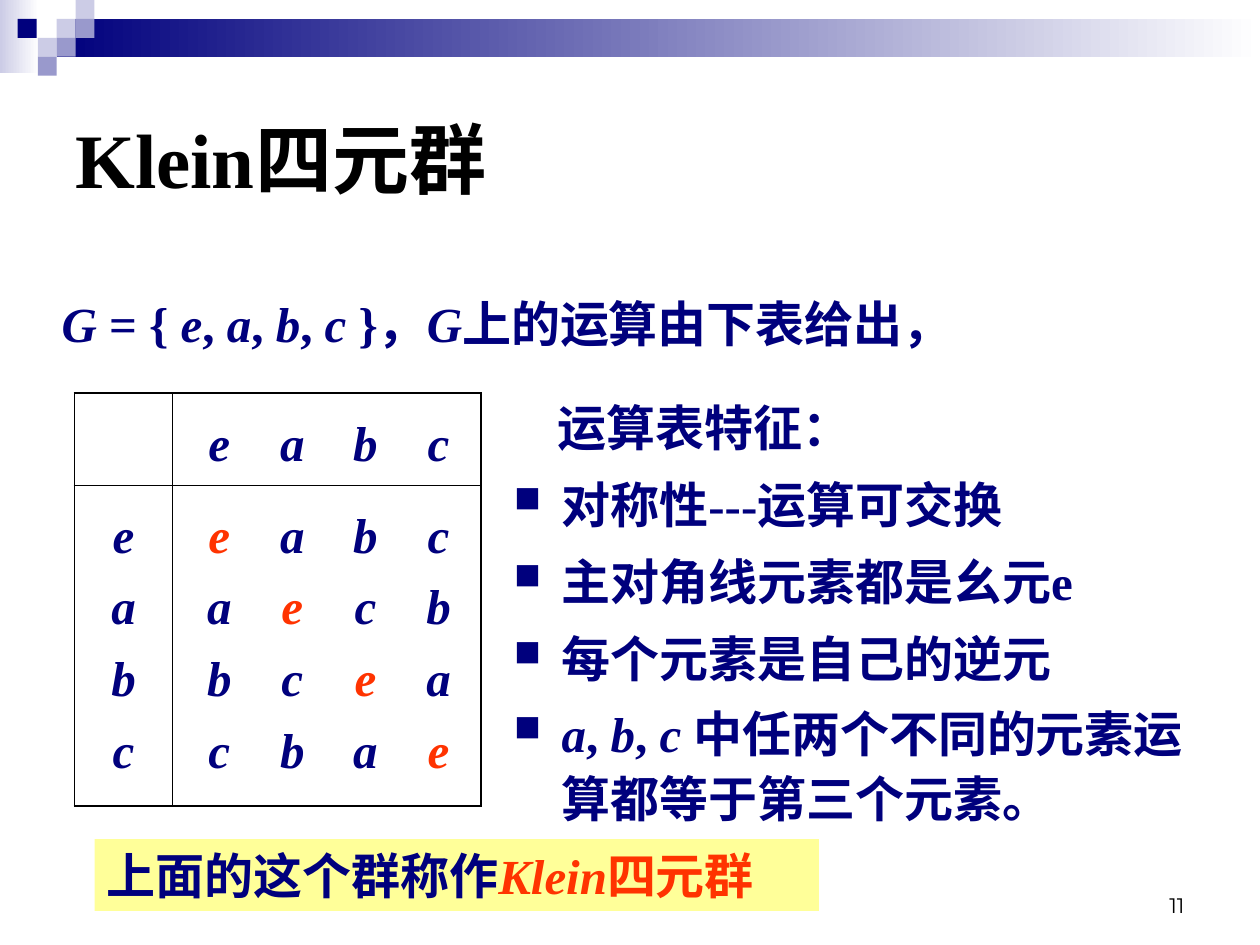
"""Build the slide on the Klein four-group and its operation table."""
from dataclasses import dataclass

import pptx
import pptx.dml.color
import pptx.enum.shapes
import pptx.enum.text
import pptx.oxml
import pptx.oxml.ns
import pptx.util
from pptx.util import Inches

ALIGN = pptx.enum.text.PP_ALIGN
ANCHOR = pptx.enum.text.MSO_ANCHOR
ELEMENTS = "eabc"


@dataclass(frozen=True)
class Theme:
    """Colours, fonts and type sizes of the slide."""
    navy: str = "00007D"
    violet: str = "9999CC"
    lavender: str = "CCCCE6"
    white: str = "FFFFFF"
    black: str = "000000"
    red: str = "FF3300"
    yellow: str = "FFFF99"
    serif: str = "Times New Roman"
    sans: str = "Arial"
    number_font: str = "Montserrat"
    title_size: float = 44
    body_size: float = 28
    number_size: float = 12
    thick: float = 1.08
    thin: float = 0.45


THEME = Theme()


def rgb(colour):
    """Turn a hex string into a colour."""
    return pptx.dml.color.RGBColor.from_string(colour)


def add_xml(parent, xml, position=None):
    """Insert a drawing element into a parent, at its end by default."""
    element = pptx.oxml.parse_xml(
        xml.replace(" ", " " + pptx.oxml.ns.nsdecls("a") + " ", 1))
    parent.insert(len(parent) if position is None else position, element)


def add_run(paragraph, text, italic=False, colour=THEME.navy,
            size=THEME.body_size, font=THEME.serif, bold=True):
    """Add one styled run."""
    run = paragraph.add_run()
    run.text = text
    run.font.name = font
    run.font.size = pptx.util.Pt(size)
    run.font.bold = bold
    run.font.italic = italic
    run.font.color.rgb = rgb(colour)


def add_maths(paragraph, text):
    """Add text in which parts between asterisks are italic."""
    for index, part in enumerate(text.split("*")):
        if part:
            add_run(paragraph, part, italic=index % 2 == 1)


def add_block(slide, left, top, width, height, fill=None, gradient_end=None):
    """Add a plain rectangle, filled solid or fading to white."""
    block = slide.shapes.add_shape(
        pptx.enum.shapes.MSO_SHAPE.RECTANGLE, Inches(left), Inches(top),
        Inches(width), Inches(height))
    block.shadow.inherit = False
    block.line.fill.background()
    if gradient_end:
        block.fill.gradient()
        block.fill.gradient_angle = 180
        for stop, colour in zip(block.fill.gradient_stops,
                                (THEME.white, gradient_end)):
            stop.color.rgb = rgb(colour)
    else:
        block.fill.solid()
        block.fill.fore_color.rgb = rgb(fill)
    return block


def add_text(slide, left, top, width, height, anchor=ANCHOR.TOP):
    """Add a wrapping text box and return its frame."""
    frame = slide.shapes.add_textbox(
        Inches(left), Inches(top), Inches(width), Inches(height)).text_frame
    frame.word_wrap = True
    frame.vertical_anchor = anchor
    return frame


def next_paragraph(frame, index, space_before=7):
    """Return the paragraph at an index, spaced from the one above."""
    paragraph = frame.add_paragraph() if index else frame.paragraphs[0]
    paragraph.line_spacing = 1.1
    if index:
        paragraph.space_before = pptx.util.Pt(space_before)
    return paragraph


def add_decoration(slide):
    """Add the fading bars and the mosaic of squares at the top."""
    add_block(slide, 0, 0, 0.31, 0.58, gradient_end=THEME.lavender)
    add_block(slide, 0.45, 0.15, 9.55, 0.3, gradient_end=THEME.navy)
    for left, top, colour in (
            (0.45, 0.15, THEME.lavender), (0.6, 0, THEME.lavender),
            (0.6, 0.15, THEME.violet), (0.3, 0.3, THEME.lavender),
            (0.14, 0.15, THEME.navy), (0.45, 0.3, THEME.violet),
            (0.3, 0.45, THEME.violet)):
        add_block(slide, left, top, 0.15, 0.15, fill=colour)


def set_borders(cell, row, column):
    """Draw thick outer and thin inner borders around a cell of a 2 by 2 table."""
    outer = {"L": column == 0, "R": column == 1, "T": row == 0, "B": row == 1}
    for position, (side, is_outer) in enumerate(outer.items()):
        width = pptx.util.Pt(THEME.thick if is_outer else THEME.thin)
        add_xml(cell._tc.get_or_add_tcPr(),
                f'<a:ln{side} w="{int(width)}"><a:solidFill>'
                f'<a:srgbClr val="{THEME.black}"/></a:solidFill></a:ln{side}>',
                position)


def add_products(paragraph, products, mark_identity):
    """Write a row of products on evenly spaced centred tab stops."""
    stops = "".join(f'<a:tab pos="{int(Inches(0.27 + 0.58 * i))}" algn="ctr"/>'
                    for i in range(len(ELEMENTS)))
    add_xml(paragraph._p.get_or_add_pPr(), f"<a:tabLst >{stops}</a:tabLst>")
    for product in products:
        marked = mark_identity and product == ELEMENTS[0]
        add_run(paragraph, "\t" + product, italic=True,
                colour=THEME.red if marked else THEME.navy)


def add_operation_table(slide):
    """Add the operation table, whose products follow bitwise exclusive or."""
    table = slide.shapes.add_table(
        2, 2, Inches(0.59), Inches(3.12), Inches(3.23), Inches(3.18)).table
    table.first_row = table.horz_banding = False
    for index, (width, height) in enumerate(((0.78, 0.73), (2.45, 2.45))):
        table.columns[index].width = Inches(width)
        table.rows[index].height = Inches(height)
    for row in range(2):
        for column in range(2):
            cell = table.cell(row, column)
            cell.fill.background()
            cell.margin_top = Inches(0.15)
            set_borders(cell, row, column)
    add_products(next_paragraph(table.cell(0, 1).text_frame, 0), ELEMENTS, False)
    for index, element in enumerate(ELEMENTS):
        label = next_paragraph(table.cell(1, 0).text_frame, index)
        label.alignment = ALIGN.CENTER
        add_run(label, element, italic=True)
        products = [ELEMENTS[index ^ other] for other in range(len(ELEMENTS))]
        add_products(next_paragraph(table.cell(1, 1).text_frame, index),
                     products, True)


def add_features(slide):
    """Add the heading and the bulleted features of the table."""
    frame = add_text(slide, 3.98, 2.96, 5.76, 3.78)
    frame.margin_top = Inches(0.15)
    heading = next_paragraph(frame, 0)
    heading._p.get_or_add_pPr().set("marL", str(int(Inches(0.35))))
    add_run(heading, "运算表特征：")
    features = (("对称性---运算可交换", 7), ("主对角线元素都是幺元e", 7),
                ("每个元素是自己的逆元", 7),
                ("*a*, *b*, *c *中任两个不同的元素运算都等于第三个元素。", 6))
    for index, (feature, space) in enumerate(features, 1):
        paragraph = next_paragraph(frame, index, space)
        properties = paragraph._p.get_or_add_pPr()
        properties.set("marL", str(int(Inches(0.38))))
        properties.set("indent", str(int(Inches(-0.38))))
        add_xml(properties, f'<a:buClr ><a:srgbClr val="{THEME.navy}"/></a:buClr>')
        add_xml(properties, '<a:buSzPct val="75000"/>')
        add_xml(properties, '<a:buChar char="■"/>')
        add_maths(paragraph, feature)


def main():
    """Build and save the slide."""
    deck = pptx.Presentation()
    deck.slide_width, deck.slide_height = Inches(10), Inches(7.5)
    slide = deck.slides.add_slide(deck.slide_layouts[6])
    add_decoration(slide)

    title = add_text(slide, 0.5, 0.5, 9, 1.5, ANCHOR.MIDDLE).paragraphs[0]
    for text, font in (("Klein", THEME.serif), ("四元群", THEME.sans)):
        add_run(title, text, colour=THEME.black, size=THEME.title_size, font=font)

    add_operation_table(slide)
    add_features(slide)

    definition = add_text(slide, 0.39, 2.28, 7.54, 0.57)
    definition.word_wrap = False
    add_maths(definition.paragraphs[0],
              "*G *= { *e*, *a*, *b*, *c *}，*G*上的运算由下表给出，")

    conclusion = add_block(slide, 0.75, 6.66, 5.75, 0.57, fill=THEME.yellow)
    conclusion.text_frame.vertical_anchor = ANCHOR.TOP
    sentence = conclusion.text_frame.paragraphs[0]
    sentence.alignment = ALIGN.LEFT
    add_run(sentence, "上面的这个群称作")
    add_run(sentence, "Klein", italic=True, colour=THEME.red)
    add_run(sentence, "四元群", colour=THEME.red)

    number = add_text(slide, 7.17, 6.83, 2.33, 0.5, ANCHOR.BOTTOM).paragraphs[0]
    number.alignment = ALIGN.RIGHT
    add_run(number, "11", colour=THEME.black, size=THEME.number_size,
            font=THEME.number_font, bold=False)
    deck.save("out.pptx")


if __name__ == "__main__":
    main()
